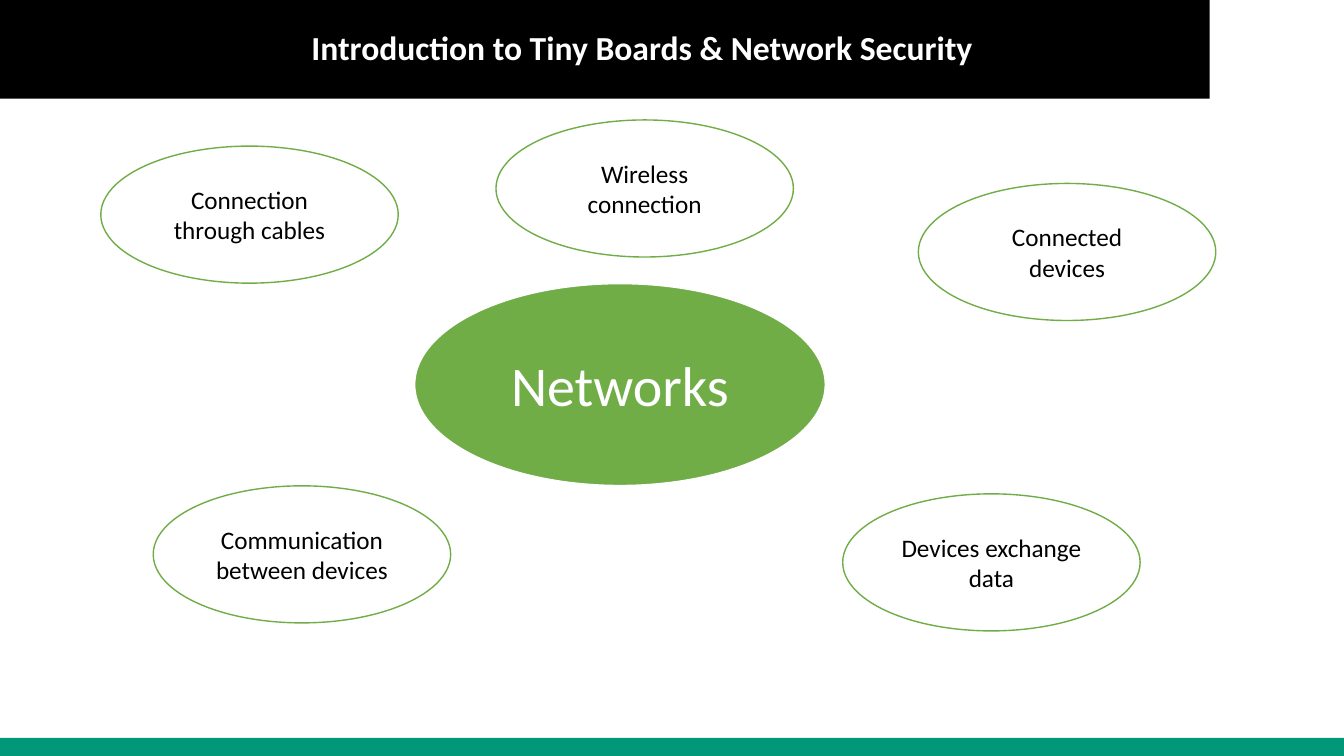
from dataclasses import dataclass

from pptx import Presentation
from pptx.dml.color import RGBColor
from pptx.enum.shapes import MSO_SHAPE as Preset
from pptx.enum.text import MSO_ANCHOR as Anchor, PP_ALIGN as Align
from pptx.shapes.autoshape import Shape
from pptx.slide import Slide
from pptx.util import Inches, Pt

BLACK = RGBColor(0x00, 0x00, 0x00)
WHITE = RGBColor(0xFF, 0xFF, 0xFF)
GREEN = RGBColor(0x70, 0xAD, 0x47)
TEAL = RGBColor(0x00, 0x98, 0x78)

FONT = "Calibri"
PAGE_WIDTH, PAGE_HEIGHT = Inches(13.33), Inches(7.5)
HEADER_HEIGHT = 13.07
FOOTER_HEIGHT = 2.4


@dataclass(frozen=True)
class Area:
    """A rectangle in percent of the page's width and height."""
    left: float
    top: float
    width: float
    height: float

    def lengths(self) -> tuple[int, int, int, int]:
        return (int(PAGE_WIDTH * self.left / 100), int(PAGE_HEIGHT * self.top / 100),
                int(PAGE_WIDTH * self.width / 100), int(PAGE_HEIGHT * self.height / 100))


@dataclass(frozen=True)
class BubbleStyle:
    width: float
    height: float
    fill: RGBColor
    line: RGBColor
    line_width: float
    text_size: int
    text_color: RGBColor


@dataclass(frozen=True)
class Bubble:
    text: str
    left: float
    top: float
    style: BubbleStyle


TOPIC = BubbleStyle(30.6, 26.8, GREEN, WHITE, 1.5, 40, WHITE)
IDEA = BubbleStyle(22.13, 18.13, WHITE, GREEN, 1, 18, BLACK)

BUBBLES = [
    Bubble("Networks", 30.83, 37.47, TOPIC),
    Bubble("Connected devices", 68.33, 24.27, IDEA),
    Bubble("Devices exchange data", 62.7, 65.33, IDEA),
    Bubble("Communication between devices", 11.4, 64.27, IDEA),
    Bubble("Connection through cables", 7.5, 19.33, IDEA),
    Bubble("Wireless connection", 36.9, 15.87, IDEA),
]


def write(box: Shape, text: str, size: int, color: RGBColor,
          align: Align, bold: bool = False) -> None:
    """Put one vertically centred paragraph into the box."""
    frame = box.text_frame
    frame.text = text
    frame.word_wrap = True
    frame.vertical_anchor = Anchor.MIDDLE
    para = frame.paragraphs[0]
    para.alignment = align
    font = para.runs[0].font
    font.name, font.size, font.bold = FONT, Pt(size), bold
    font.color.rgb = color


def add_filled(page: Slide, preset: Preset, area: Area, fill: RGBColor) -> Shape:
    shape = page.shapes.add_shape(preset, *area.lengths())
    shape.shadow.inherit = False
    shape.fill.solid()
    shape.fill.fore_color.rgb = fill
    shape.line.fill.background()
    return shape


def add_title(page: Slide, text: str) -> None:
    box = page.shapes.add_textbox(*Area(22.43, 0, 67.65, HEADER_HEIGHT).lengths())
    write(box, text, 24, WHITE, Align.LEFT, bold=True)
    box.text_frame.paragraphs[0].line_spacing = 0.9


def add_bubble(page: Slide, bubble: Bubble) -> None:
    style = bubble.style
    area = Area(bubble.left, bubble.top, style.width, style.height)
    shape = add_filled(page, Preset.OVAL, area, style.fill)
    shape.line.color.rgb = style.line
    shape.line.width = Pt(style.line_width)
    write(shape, bubble.text, style.text_size, style.text_color, Align.CENTER)


def main() -> None:
    deck = Presentation()
    deck.slide_width, deck.slide_height = PAGE_WIDTH, PAGE_HEIGHT
    page = deck.slides.add_slide(deck.slide_layouts[6])

    add_filled(page, Preset.RECTANGLE, Area(0, 0, 90, HEADER_HEIGHT), BLACK)
    add_filled(page, Preset.RECTANGLE,
               Area(0, 100 - FOOTER_HEIGHT, 100, FOOTER_HEIGHT), TEAL)
    add_title(page, "Introduction to Tiny Boards & Network Security")
    for bubble in BUBBLES:
        add_bubble(page, bubble)

    deck.save("out.pptx")


if __name__ == "__main__":
    main()
